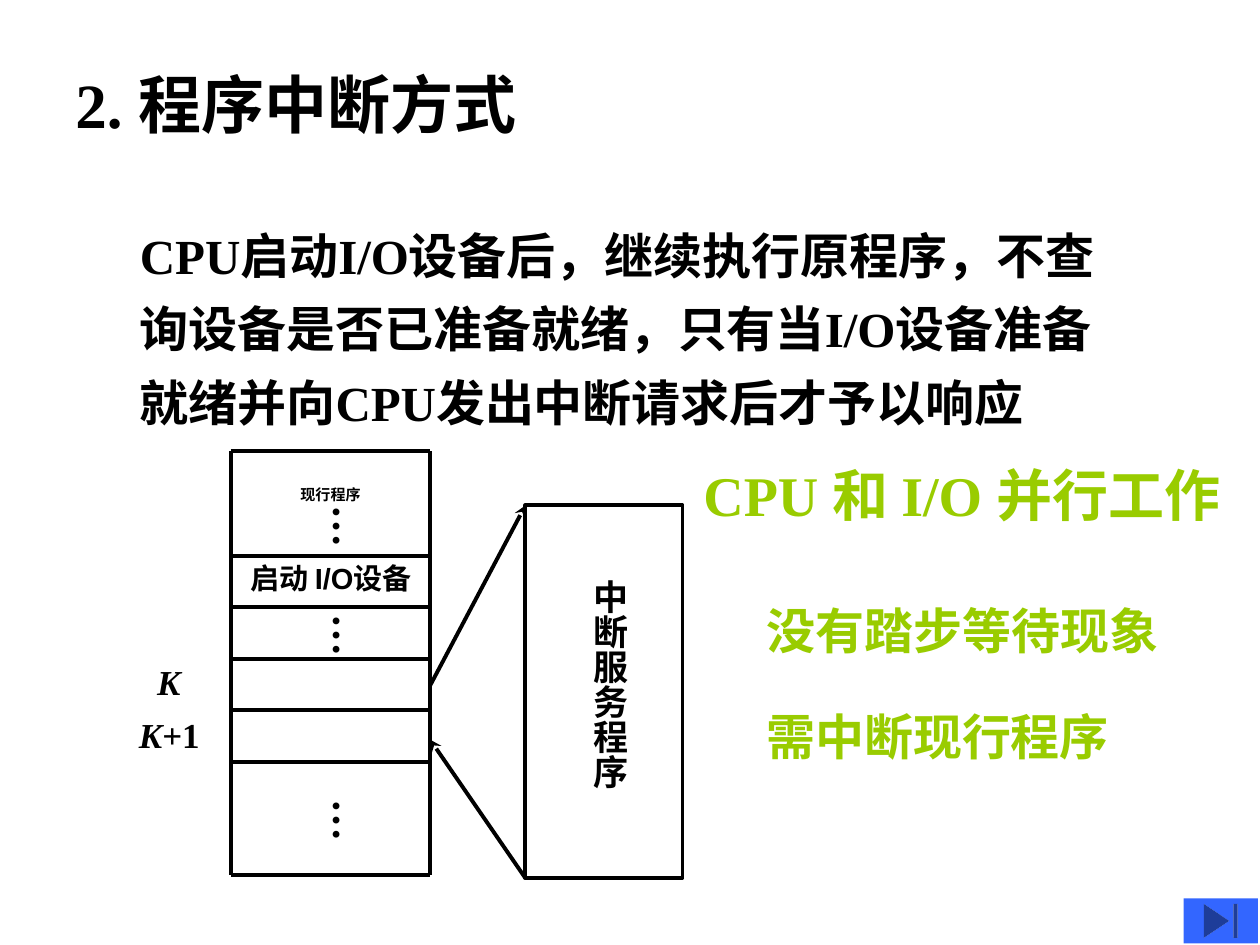
from dataclasses import dataclass

from lxml import etree
from pptx import Presentation
from pptx import util as u
from pptx.dml.color import RGBColor
from pptx.enum import shapes, text
from pptx.oxml import ns

BLACK = RGBColor(0x00, 0x00, 0x00)
GREEN = RGBColor(0x99, 0xCC, 0x00)
BLUE = RGBColor(0x33, 0x66, 0xFF)
SERIF, SANS = "Times New Roman", "Arial"
LINE_WIDTH = u.Pt(2.25)

HORIZONTAL = (0.25, 0.13, 0.25, 0.13)
VERTICAL = (0.13, 0.25, 0.13, 0.25)
CELL = (0, 0, 0.25, 0)
CAPTION = (0.25, 0, 0.25, 0)
MARGINS = ("margin_left", "margin_top", "margin_right", "margin_bottom")


@dataclass
class Label:
    """A text box in centimetres; each run is (text, italic)."""
    box: tuple[float, float, float, float]
    runs: list[tuple[str, bool]]
    size: float
    color: RGBColor = BLACK
    font: str = SERIF
    insets: tuple[float, float, float, float] = HORIZONTAL
    wrap: bool = True
    grow: bool = True
    vertical: bool = False
    centred: bool = False
    anchor: text.MSO_ANCHOR = text.MSO_ANCHOR.TOP
    spacing: float = 1.0


@dataclass
class Line:
    start: tuple[float, float]
    end: tuple[float, float]
    arrow: bool = False


def apply_format(target: object, values: dict) -> None:
    for name, value in values.items():
        setattr(target, name, value)


def draw_label(parent, label: Label) -> None:
    shape = parent.add_textbox(*map(u.Cm, label.box))
    frame = shape.text_frame
    fit = text.MSO_AUTO_SIZE
    apply_format(frame, {
        "word_wrap": label.wrap,
        "auto_size": fit.SHAPE_TO_FIT_TEXT if label.grow else fit.NONE,
        "vertical_anchor": label.anchor,
        **dict(zip(MARGINS, map(u.Cm, label.insets))),
    })
    if label.vertical:
        shape.element.txBody.find(ns.qn("a:bodyPr")).set("vert", "eaVert")
    paragraph = frame.paragraphs[0]
    alignment = text.PP_ALIGN.CENTER if label.centred else text.PP_ALIGN.LEFT
    apply_format(paragraph, {"alignment": alignment,
                             "line_spacing": label.spacing})
    for words, italic in label.runs:
        run = paragraph.add_run()
        run.text = words
        apply_format(run.font, {"name": label.font, "size": u.Pt(label.size),
                                "bold": True, "italic": italic})
        run.font.color.rgb = label.color


def draw_line(parent, line: Line) -> None:
    connector = parent.add_connector(
        shapes.MSO_CONNECTOR.STRAIGHT, *map(u.Cm, line.start + line.end))
    connector.line.width = LINE_WIDTH
    connector.line.color.rgb = BLACK
    properties = connector.element.spPr
    if line.arrow:
        outline = properties.find(ns.qn("a:ln"))
        etree.SubElement(outline, ns.qn("a:tailEnd"), type="stealth")
    etree.SubElement(properties, ns.qn("a:effectLst"))


def plain(words: str) -> list[tuple[str, bool]]:
    return [(words, False)]


# Program memory: outer frame and rows
LEFT, RIGHT, TOP, BOTTOM = 4.65, 8.67, 9.1, 17.63
FIRST_ROW, ROW_HEIGHT = 11.2, 1.04
row_edges = [TOP, *(FIRST_ROW + ROW_HEIGHT * i for i in range(5)), BOTTOM]
lines = [Line((LEFT, y), (RIGHT, y)) for y in row_edges]
lines += [Line((x, TOP), (x, BOTTOM)) for x in (LEFT, RIGHT)]

# Service routine box and the jumps to and from it
SERVICE = (10.59, 10.19, 3.17, 7.51)
SERVICE_BOTTOM = SERVICE[1] + SERVICE[3]
lines += [
    Line((RIGHT, 13.82), SERVICE[:2], arrow=True),
    Line((SERVICE[0], SERVICE_BOTTOM), (RIGHT, 14.91), arrow=True),
]

diagram_labels = [
    Label((4.79, 11.18, 4.01, 1.04), plain("启动 I/O设备"), 16.6, font=SANS,
          insets=CELL, grow=False, centred=True,
          anchor=text.MSO_ANCHOR.MIDDLE, spacing=0.9),
    Label((4.66, 9.86, 4.01, 1.04), plain("现行程序"), 8.6, font=SANS,
          insets=CAPTION, grow=False, centred=True, spacing=0.8),
    *(Label((6.18, y, 1.52, 1.12), plain("…"), 24, insets=VERTICAL,
            wrap=False, vertical=True) for y in (9.94, 12.13, 15.86)),
    Label((11.5, 11.44, 1.35, 4.5), plain("中断服务程序"), 20,
          insets=VERTICAL, wrap=False, vertical=True),
    Label((2.92, 13.18, 0.97, 1.12), [("K", True)], 20, wrap=False),
    Label((2.55, 14.25, 1.73, 1.12), [("K", True), ("+1", False)], 20,
          wrap=False),
]

slide_labels = [
    Label((1.27, 1.19, 9.88, 1.78), plain("2. 程序中断方式"), 36),
    Label((2.57, 4.12, 20.25, 4.7),
          plain("CPU启动I/O设备后，继续执行原程序，不查询设备是否已准备就绪，"
                "只有当I/O设备准备就绪并向CPU发出中断请求后才予以响应"),
          28, spacing=1.25),
    Label((13.93, 9.16, 11.05, 2.97), plain("CPU 和 I/O 并行工作"), 32, GREEN),
    Label((15.21, 11.98, 8.8, 1.45), plain("没有踏步等待现象"), 28, GREEN),
    Label((15.2, 14.12, 7.82, 1.45), plain("需中断现行程序"), 28, GREEN),
]


def main() -> None:
    presentation = Presentation()
    apply_format(presentation, {"slide_width": u.Cm(25.4),
                                "slide_height": u.Cm(19.05)})
    slide = presentation.slides.add_slide(presentation.slide_layouts[6])

    # Interrupt diagram
    diagram = slide.shapes.add_group_shape().shapes
    service = diagram.add_shape(shapes.MSO_SHAPE.RECTANGLE,
                                *map(u.Cm, SERVICE))
    service.shadow.inherit = False
    service.fill.background()
    service.line.color.rgb = BLACK
    service.line.width = LINE_WIDTH
    for line in lines:
        draw_line(diagram, line)
    for label in diagram_labels:
        draw_label(diagram, label)

    # Title, explanation and conclusions
    for label in slide_labels:
        draw_label(slide.shapes, label)

    # Navigation button
    button = slide.shapes.add_shape(shapes.MSO_SHAPE.ACTION_BUTTON_END,
                                    *map(u.Cm, (23.86, 18.11, 1.5, 0.91)))
    button.shadow.inherit = False
    button.fill.solid()
    button.fill.fore_color.rgb = BLUE
    button.line.fill.background()

    presentation.save("out.pptx")


if __name__ == "__main__":
    main()
